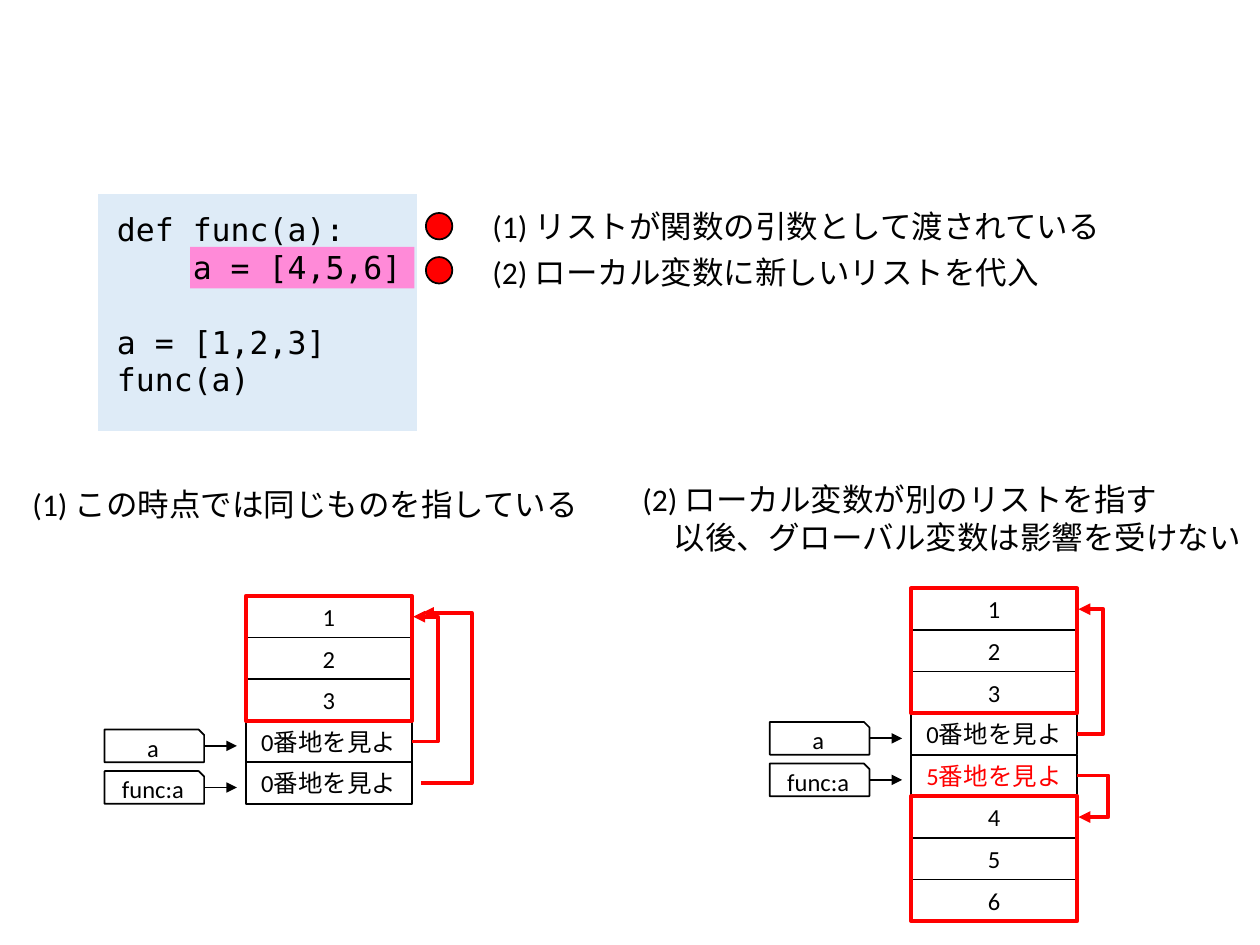
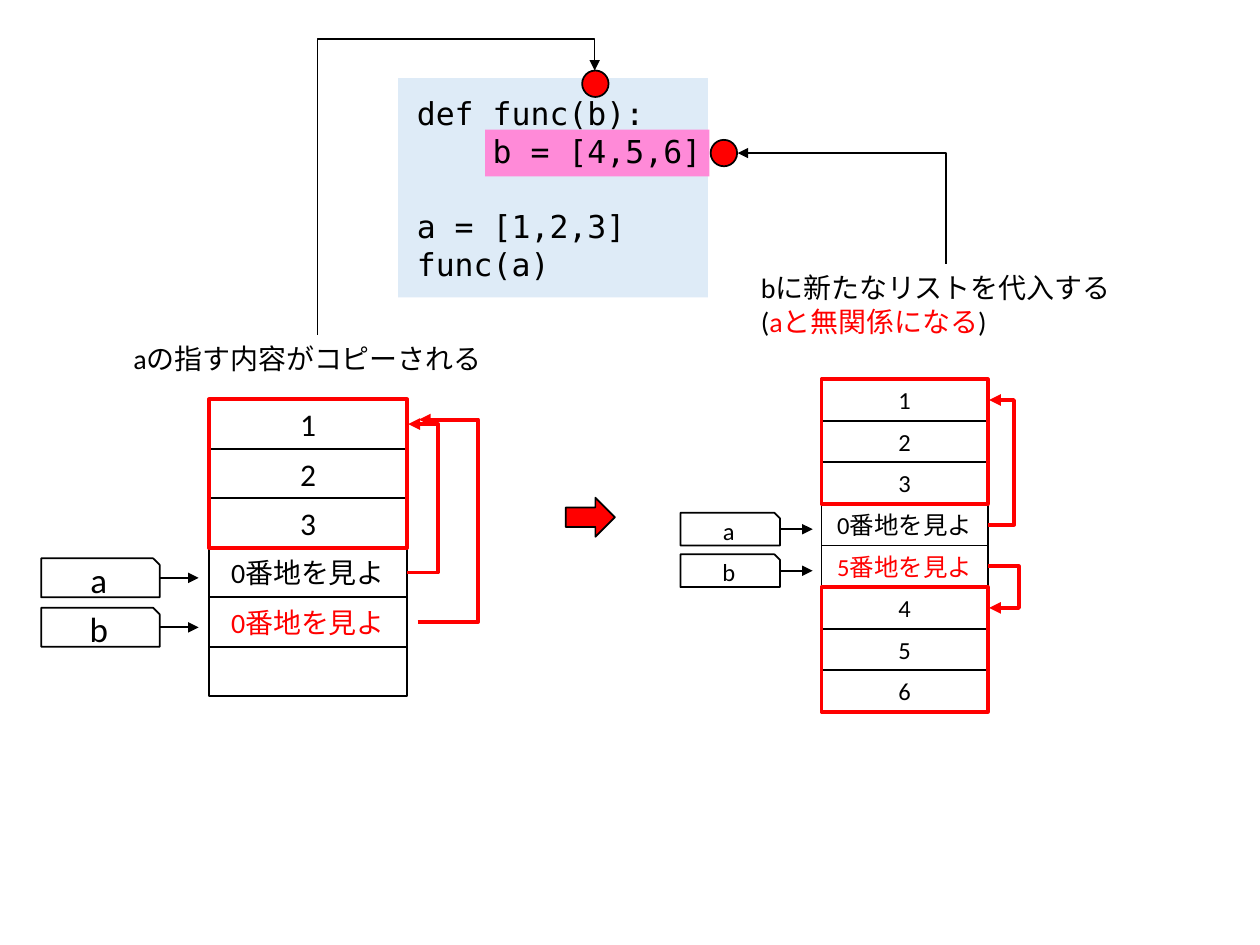
from pptx import Presentation
from pptx.dml.color import RGBColor
from pptx.enum import shapes, text
from pptx.oxml import ns, xmlchemy
from pptx.util import Inches, Pt

BLACK = RGBColor(0x00, 0x00, 0x00)
WHITE = RGBColor(0xFF, 0xFF, 0xFF)
RED = RGBColor(0xFF, 0x00, 0x00)
CODE_BLUE = RGBColor(0xDE, 0xEB, 0xF7)
HIGHLIGHT_PINK = RGBColor(0xFF, 0x8A, 0xD8)

BODY_FONT = "Calibri"
CODE_FONT = "DejaVu Sans Mono"
PRESET = shapes.MSO_SHAPE
DOT_SIZE = 0.21
CODE_GAP = 21

CELL_WIDTH, CELL_HEIGHT = 1.32, 0.33
TAG_WIDTH, TAG_HEIGHT = 0.79, 0.26
TAG_OFFSET, TAG_DROP, TAG_ARROW = 1.12, 0.07, 0.26
FIRST_TAG_ROW = 3
ARROW_TIP = 0.01

SMALL = {"scale": 1, "number": 14, "address": 14, "tag": 14}
LARGE = {"scale": 1.19, "number": 18, "address": 16, "tag": 20}

SHARED_CELLS = ["1", "2", "3", "0番地を見よ", "0番地を見よ"]
SPLIT_CELLS = ["1", "2", "3", "0番地を見よ", "5番地を見よ", "4", "5", "6"]
A_POINTER = {"rows": (3, 0), "reach": 0.21, "start": 0, "lift": 0}
SHARED_POINTERS = [A_POINTER, {"rows": (4, 0), "reach": 0.48, "start": 0.07, "lift": 0.03}]
SPLIT_POINTERS = [A_POINTER, {"rows": (4, 5), "reach": 0.25, "start": 0, "lift": 0}]

SLIDES = [
    {
        "panel": (0.78, 1.54, 2.53, 1.88),
        "highlight": (1.51, 1.96, 1.78, 0.33),
        "code_box": (0.83, 1.62, 2.63, 1.62),
        "variable": "a",
        "dots": [(3.38, 1.69), (3.38, 2.04)],
        "memories": [
            {"at": (1.95, 4.73), "cells": SHARED_CELLS, "red_row": None, "lists": [0],
             "tags": ["a", "func:a"], "pointers": SHARED_POINTERS, "look": SMALL, "fill": WHITE},
            {"at": (7.23, 4.67), "cells": SPLIT_CELLS, "red_row": 4, "lists": [0, 5],
             "tags": ["a", "func:a"], "pointers": SPLIT_POINTERS, "look": SMALL, "fill": WHITE},
        ],
        "captions": [
            {"box": (3.81, 1.59, 5.11, 0.4), "lines": ["(1) リストが関数の引数として渡されている"]},
            {"box": (3.81, 1.96, 4.6, 0.4), "lines": ["(2) ローカル変数に新しいリストを代入"]},
            {"box": (0.16, 3.8, 4.6, 0.4), "lines": ["(1) この時点では同じものを指している"]},
            {"box": (5, 3.76, 5, 0.71), "indent": 0.25,
             "lines": ["(2) ローカル変数が別のリストを指す", "以後、グローバル変数は影響を受けない"]},
        ],
        "caption_size": 18,
        "caption_wrap": False,
        "block_arrows": [],
        "callouts": [],
    },
    {
        "panel": (3.16, 0.62, 2.46, 1.74),
        "highlight": (3.85, 1.03, 1.78, 0.37),
        "code_box": (3.21, 0.7, 2.63, 1.62),
        "variable": "b",
        "dots": [(4.62, 0.56), (5.64, 1.11)],
        "memories": [
            {"at": (1.66, 3.17), "cells": SHARED_CELLS + [""], "red_row": 4, "lists": [0],
             "tags": ["a", "b"], "pointers": SHARED_POINTERS, "look": LARGE, "fill": None},
            {"at": (6.52, 3.01), "cells": SPLIT_CELLS, "red_row": 4, "lists": [0, 5],
             "tags": ["a", "b"], "pointers": SPLIT_POINTERS, "look": SMALL, "fill": None},
        ],
        "captions": [
            {"box": (0.96, 2.66, 3.13, 0.37), "lines": ["aの指す内容がコピーされる"]},
            {"box": (5.94, 2.1, 3.13, 0.64),
             "lines": ["bに新たなリストを代入する",
                       [("(", BLACK), ("aと無関係になる", RED), (")", BLACK)]]},
        ],
        "caption_size": 16,
        "caption_wrap": True,
        "block_arrows": [(4.49, 3.95, 0.39, 0.31)],
        "callouts": [
            {"box": (2.57, 0.51, 2.1, 2.2), "preset": "bentConnector3", "bend": -0.119,
             "flips": ("flipH", "flipV"), "arrow_end": "headEnd"},
            {"box": (6.24, 0.83, 0.88, 1.65), "preset": "bentConnector2", "bend": None,
             "flips": ("flipV",), "arrow_end": "tailEnd"},
        ],
    },
]


def inches(values):
    return [Inches(value) for value in values]


def add_run(paragraph, content, size, color=BLACK, font=BODY_FONT):
    run = paragraph.add_run()
    run.text = content
    for name, value in {"size": Pt(size), "name": font}.items():
        setattr(run.font, name, value)
    run.font.color.rgb = color


def add_box(slide, preset, box, fill=None, line=None, line_width=1):
    shape = slide.shapes.add_shape(preset, *inches(box))
    shape.shadow.inherit = False
    if fill is None:
        shape.fill.background()
    else:
        shape.fill.solid()
        shape.fill.fore_color.rgb = fill
    if line is None:
        shape.line.fill.background()
    else:
        shape.line.color.rgb = line
        shape.line.width = Pt(line_width)
    return shape


def add_labelled_box(slide, preset, box, label, size, color, fill):
    shape = add_box(slide, preset, box, fill, BLACK)
    shape.text_frame.vertical_anchor = text.MSO_ANCHOR.MIDDLE
    if label:
        paragraph = shape.text_frame.paragraphs[0]
        paragraph.alignment = text.PP_ALIGN.CENTER
        add_run(paragraph, label, size, color)
    return shape


def add_text(slide, box, lines, size, font=BODY_FONT, wrap=True):
    frame = slide.shapes.add_textbox(*inches(box)).text_frame
    settings = {"word_wrap": wrap, "auto_size": text.MSO_AUTO_SIZE.SHAPE_TO_FIT_TEXT}
    for name, value in settings.items():
        setattr(frame, name, value)
    for index, line in enumerate(lines):
        paragraph = frame.add_paragraph() if index else frame.paragraphs[0]
        for content, color in [(line, BLACK)] if isinstance(line, str) else line:
            add_run(paragraph, content, size, color, font)
    return frame.paragraphs


def add_arrow(slide, kind, begin, end, color=BLACK, width=1, arrow_end="tailEnd"):
    connector = slide.shapes.add_connector(kind, *inches(begin + end))
    connector.line.color.rgb = color
    connector.line.width = Pt(width)
    line = connector.line._get_or_add_ln()
    line.append(xmlchemy.OxmlElement("a:" + arrow_end))
    line[-1].set("type", "triangle")
    connector.element.spPr.append(xmlchemy.OxmlElement("a:effectLst"))
    return connector


def set_bend(connector, ratio):
    adjustments = connector.element.spPr.find(ns.qn("a:prstGeom")).get_or_add_avLst()
    guide = xmlchemy.OxmlElement("a:gd")
    guide.set("name", "adj1")
    guide.set("fmla", f"val {round(ratio * 100000)}")
    adjustments.append(guide)


def add_callout(slide, callout):
    left, top, width, height = callout["box"]
    connector = add_arrow(slide, shapes.MSO_CONNECTOR.ELBOW, (left, top),
                          (left + width, top + height), arrow_end=callout["arrow_end"])
    properties = connector.element.spPr
    properties.find(ns.qn("a:prstGeom")).set("prst", callout["preset"])
    transform = properties.find(ns.qn("a:xfrm"))
    transform.set("rot", str(270 * 60000))
    for flip in callout["flips"]:
        transform.set(flip, "1")
    if callout["bend"] is not None:
        set_bend(connector, callout["bend"])


def add_memory(slide, memory):
    look, fill = memory["look"], memory["fill"]
    scale = look["scale"]
    left, top = memory["at"]
    width, height = CELL_WIDTH * scale, CELL_HEIGHT * scale
    right = left + width

    for row, label in enumerate(memory["cells"]):
        size = look["number"] if label.isdigit() else look["address"]
        color = RED if row == memory["red_row"] else BLACK
        add_labelled_box(slide, PRESET.RECTANGLE, (left, top + row * height, width, height),
                         label, size, color, fill)

    for first_row in memory["lists"]:
        add_box(slide, PRESET.RECTANGLE, (left, top + first_row * height, width, 3 * height),
                line=RED, line_width=2.25)

    for row, name in enumerate(memory["tags"], FIRST_TAG_ROW):
        tag_left = left - TAG_OFFSET * scale
        tag_top = top + row * height + TAG_DROP * scale
        tag_right = tag_left + TAG_WIDTH * scale
        middle = tag_top + TAG_HEIGHT * scale / 2
        tag = add_labelled_box(slide, PRESET.SNIP_1_RECTANGLE,
                               (tag_left, tag_top, TAG_WIDTH * scale, TAG_HEIGHT * scale),
                               name, look["tag"], BLACK, fill)
        arrow = add_arrow(slide, shapes.MSO_CONNECTOR.STRAIGHT, (tag_right, middle),
                          (tag_right + TAG_ARROW * scale, middle))
        arrow.begin_connect(tag, 3)

    for pointer in memory["pointers"]:
        source, target = [top + (row + 0.5) * height for row in pointer["rows"]]
        start = pointer["start"] * scale
        connector = add_arrow(slide, shapes.MSO_CONNECTOR.ELBOW, (right + start, source),
                              (right + start + ARROW_TIP, target - pointer["lift"] * scale),
                              RED, 2.25)
        set_bend(connector, (pointer["reach"] * scale - start) / ARROW_TIP)


def add_code(slide, content):
    add_box(slide, PRESET.RECTANGLE, content["panel"], CODE_BLUE)
    add_box(slide, PRESET.RECTANGLE, content["highlight"], HIGHLIGHT_PINK)
    variable = content["variable"]
    lines = [f"def func({variable}):", f"    {variable} = [4,5,6]", "a = [1,2,3]", "func(a)"]
    paragraphs = add_text(slide, content["code_box"], lines, 18, CODE_FONT)
    paragraphs[2].space_before = Pt(CODE_GAP)


def build_slide(presentation, content):
    slide = presentation.slides.add_slide(presentation.slide_layouts[6])
    add_code(slide, content)
    for memory in content["memories"]:
        add_memory(slide, memory)
    for box in content["block_arrows"]:
        add_box(slide, PRESET.RIGHT_ARROW, box, RED, BLACK)
    for position in content["dots"]:
        add_box(slide, PRESET.OVAL, position + (DOT_SIZE, DOT_SIZE), RED, BLACK)
    for callout in content["callouts"]:
        add_callout(slide, callout)
    for caption in content["captions"]:
        paragraphs = add_text(slide, caption["box"], caption["lines"],
                              content["caption_size"], wrap=content["caption_wrap"])
        if "indent" in caption:
            for paragraph in paragraphs[1:]:
                paragraph._p.get_or_add_pPr().set("marL", str(Inches(caption["indent"])))


def main():
    presentation = Presentation()
    presentation.slide_width = Inches(10)
    presentation.slide_height = Inches(7.5)
    for content in SLIDES:
        build_slide(presentation, content)
    presentation.save("out.pptx")


if __name__ == "__main__":
    main()
